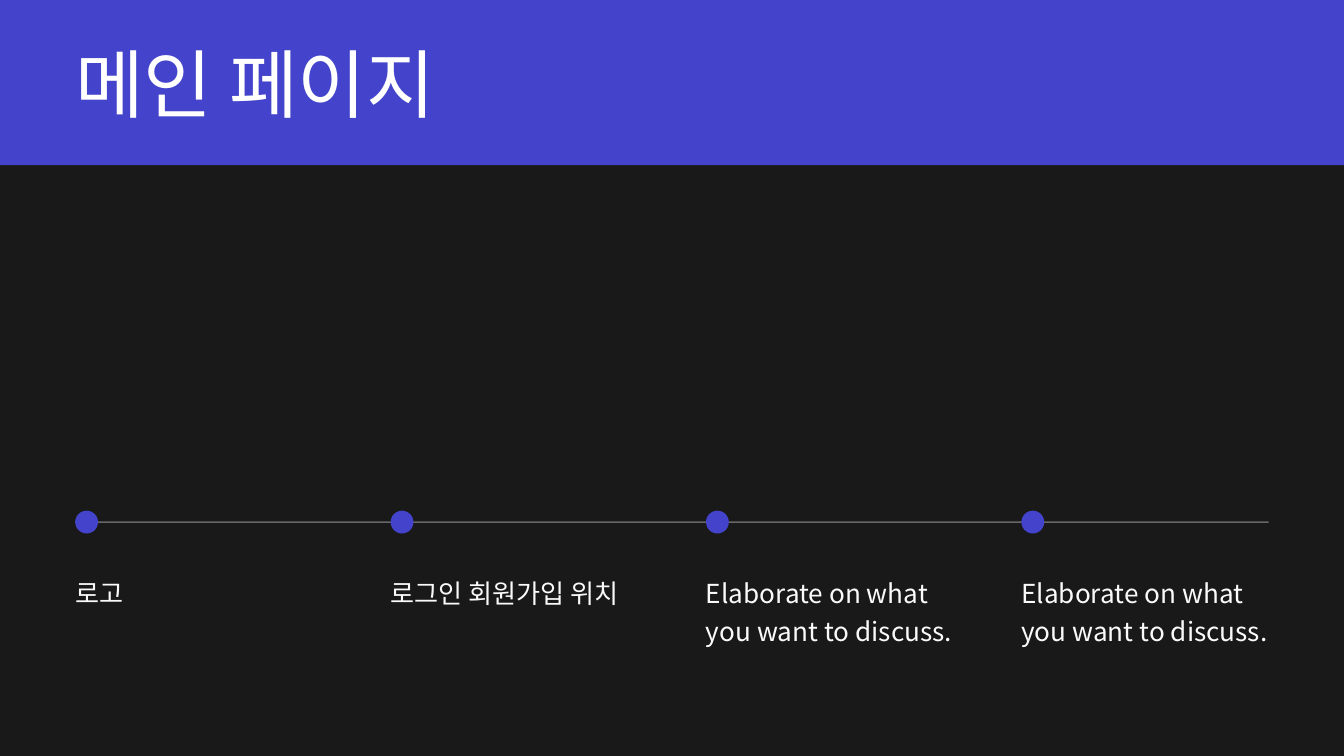
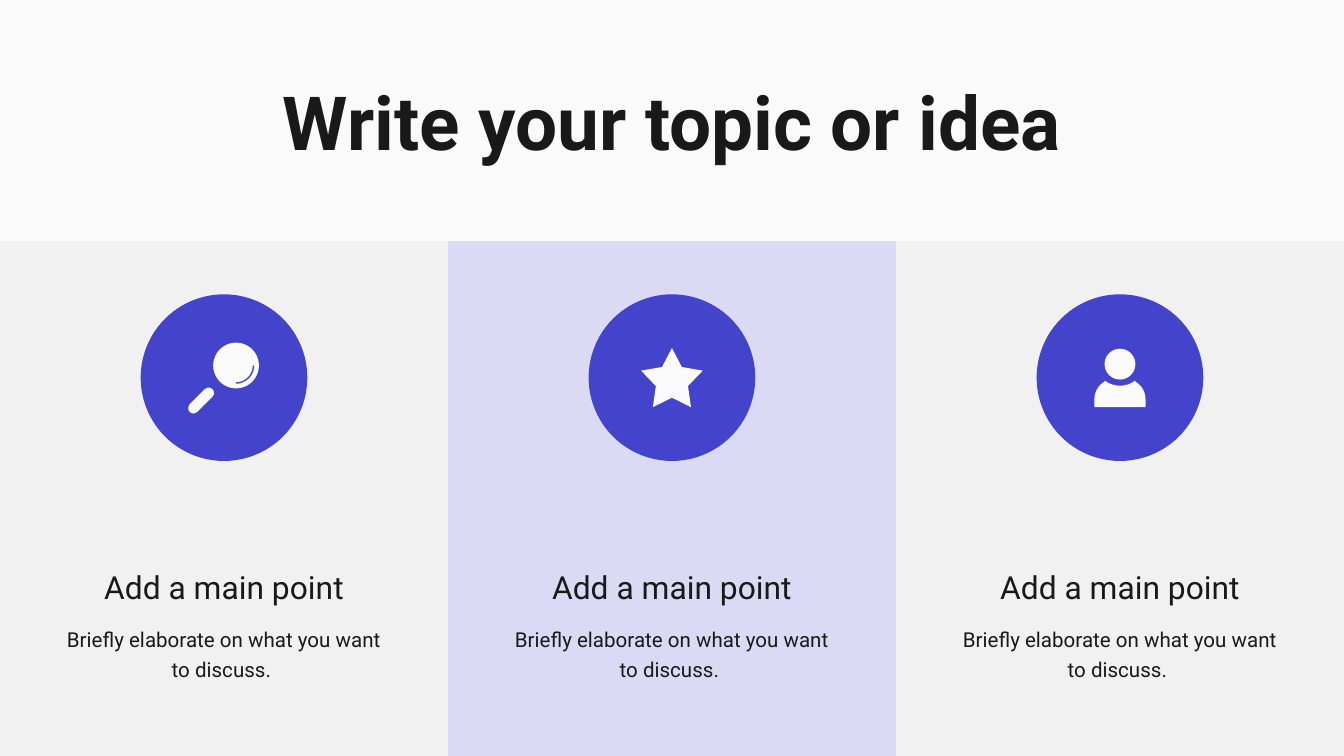
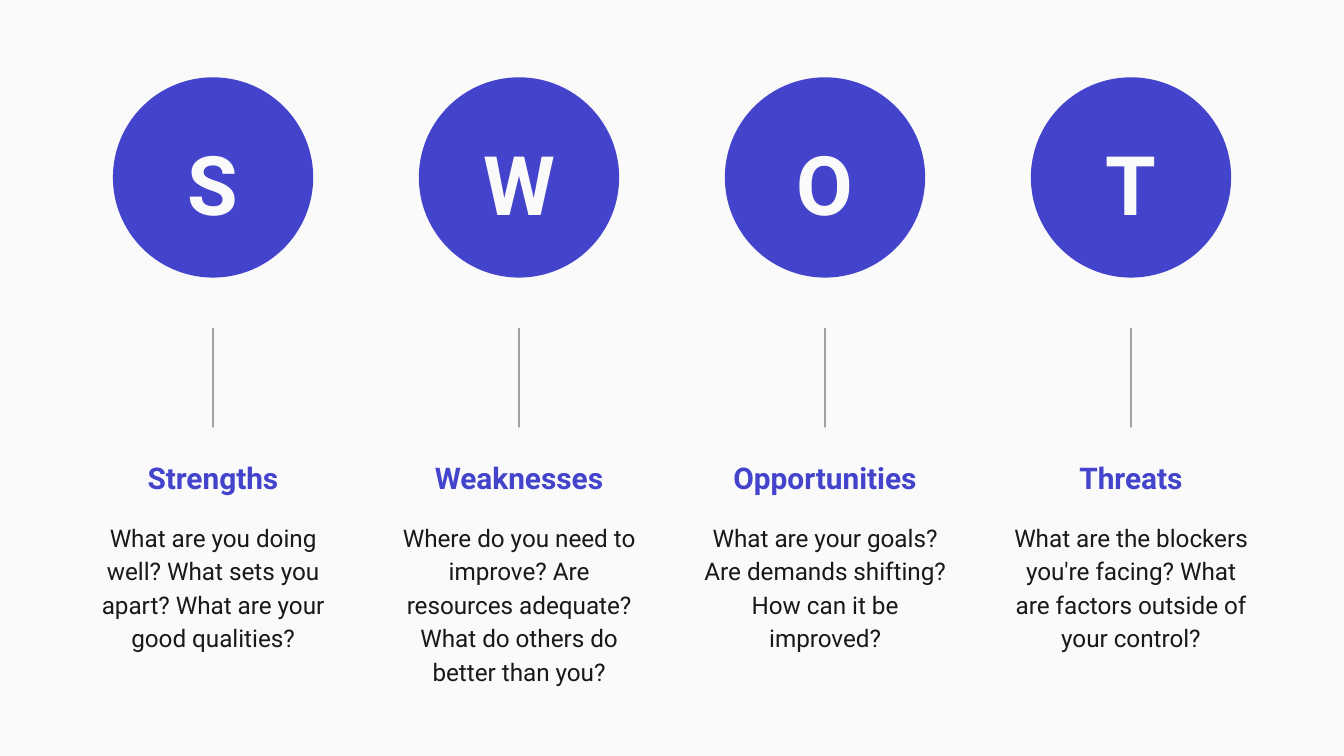
from math import cos, radians, sin

from lxml import etree
from pptx import Presentation
from pptx.dml.color import RGBColor
from pptx.enum.shapes import MSO_CONNECTOR, MSO_SHAPE
from pptx.enum.text import MSO_ANCHOR, MSO_AUTO_SIZE, PP_ALIGN
from pptx.oxml.ns import qn
from pptx.util import Inches, Pt

LEFT, CENTER = PP_ALIGN.LEFT, PP_ALIGN.CENTER
TOP, MIDDLE = MSO_ANCHOR.TOP, MSO_ANCHOR.MIDDLE
OVAL, RECT = MSO_SHAPE.OVAL, MSO_SHAPE.RECTANGLE
ROUNDED, STAR = MSO_SHAPE.ROUNDED_RECTANGLE, MSO_SHAPE.STAR_5_POINT
TITLE_ONLY, BLANK = 5, 6

COLORS = {
    "ink": "191919",
    "paper": "FAFAFA",
    "white": "FFFFFF",
    "accent": "4344CB",
    "panel": "F1F1F1",
    "tint": "DADAF5",
}
KOREAN, LATIN = "Noto Sans CJK KR", "Roboto"

STYLES = {
    "page title": dict(size=40, name=KOREAN, color="white", anchor=MIDDLE),
    "topic title": dict(size=40, name=LATIN, color="ink", bold=True, align=CENTER, anchor=MIDDLE),
    "step": dict(size=14, name=KOREAN, color="paper", spacing=1.2),
    "point": dict(size=17, name=LATIN, color="ink", align=CENTER, spacing=1.2),
    "detail": dict(size=11, name=LATIN, color="ink", align=CENTER, spacing=1.2),
    "letter": dict(size=44, name=LATIN, color="paper", bold=True, align=CENTER, anchor=MIDDLE),
    "heading": dict(size=16, name=LATIN, color="accent", bold=True, align=CENTER, spacing=1.15),
    "question": dict(size=13, name=LATIN, color="ink", align=CENTER, spacing=1.15),
}

PAGE_TITLE = "메인 페이지"
STEPS = [
    "로고",
    "로그인 회원가입 위치",
    "Elaborate on what you want to discuss.",
    "Elaborate on what you want to discuss.",
]

TOPIC_TITLE = "Write your topic or idea"
POINTS = [("Add a main point", "Briefly elaborate on what you want to discuss. ")] * 3

SWOT = [
    ("Strengths", "What are you doing well? What sets you apart? What are your good qualities?"),
    ("Weaknesses", "Where do you need to improve? Are resources adequate? "
                   "What do others do better than you?"),
    ("Opportunities", "What are your goals? Are demands shifting? How can it be improved?"),
    ("Threats", "What are the blockers you're facing? What are factors outside of your control?"),
]

WIDTH = 10
HEIGHT = WIDTH * 9 / 16


def rgb(name):
    return RGBColor.from_string(COLORS[name])


def add_slide(prs, layout, background):
    s = prs.slides.add_slide(prs.slide_layouts[layout])
    s.background.fill.solid()
    s.background.fill.fore_color.rgb = rgb(background)
    return s


def write(sp, text, style):
    look = STYLES[style]
    tf = sp.text_frame
    tf.word_wrap = True
    tf.auto_size = MSO_AUTO_SIZE.SHAPE_TO_FIT_TEXT
    tf.vertical_anchor = look.get("anchor", TOP)
    for side in ("left", "top", "right", "bottom"):
        setattr(tf, f"margin_{side}", 0)
    p = tf.paragraphs[0]
    p.alignment = look.get("align", LEFT)
    p.line_spacing = look.get("spacing", 1.0)
    r = p.add_run()
    r.text = text
    font = {"size": Pt(look["size"]), "name": look["name"], "bold": look.get("bold", False)}
    for key, value in font.items():
        setattr(r.font, key, value)
    r.font.color.rgb = rgb(look["color"])
    for tag in ("a:ea", "a:cs"):
        etree.SubElement(r.font._element, qn(tag), typeface=look["name"])


def add_text(s, text, style, x, y, w, h):
    write(s.shapes.add_textbox(*map(Inches, (x, y, w, h))), text, style)


def set_title(s, text, style, x, y, w, h):
    sp = s.shapes.title
    sp.left, sp.top, sp.width, sp.height = map(Inches, (x, y, w, h))
    write(sp, text, style)


def paint(sp, color):
    sp.fill.solid()
    sp.fill.fore_color.rgb = rgb(color)
    sp.line.fill.background()
    sp.shadow.inherit = False


def add_block(s, kind, color, x, y, w, h):
    sp = s.shapes.add_shape(kind, *map(Inches, (x, y, w, h)))
    paint(sp, color)
    return sp


def add_disc(s, color, cx, cy, diameter):
    add_block(s, OVAL, color, cx - diameter / 2, cy - diameter / 2, diameter, diameter)


def add_rule(s, color, opacity, x1, y1, x2, y2):
    line = s.shapes.add_connector(MSO_CONNECTOR.STRAIGHT, *map(Inches, (x1, y1, x2, y2)))
    line.line.width = Pt(0.75)
    line.line.color.rgb = rgb(color)
    fill = line._element.spPr.find(".//" + qn("a:srgbClr"))
    etree.SubElement(fill, qn("a:alpha"), val=str(opacity * 1000))
    etree.SubElement(line._element.spPr, qn("a:effectLst"))


def arc(cx, cy, radius, start, end, steps=12):
    """Points along a circle, with angles in degrees clockwise from the right."""
    angles = [radians(start + (end - start) * i / steps) for i in range(steps + 1)]
    return [(cx + radius * cos(a), cy + radius * sin(a)) for a in angles]


def add_outline(s, points, close=True):
    start, *rest = [(Inches(x), Inches(y)) for x, y in points]
    builder = s.shapes.build_freeform(*start)
    builder.add_line_segments(rest, close=close)
    return builder.convert_to_shape()


def draw_magnifier(s, cx):
    lens_x, lens_y = cx + 0.09, 2.72
    add_disc(s, "paper", lens_x, lens_y, 0.34)
    handle = add_block(s, ROUNDED, "paper", cx - 0.29, 2.94, 0.24, 0.08)
    handle.adjustments[0] = 0.5
    handle.rotation = -45
    gleam = add_outline(s, arc(lens_x, lens_y, 0.13, 0, 90), close=False)
    gleam.fill.background()
    gleam.line.color.rgb = rgb("accent")
    gleam.line.width = Pt(0.75)
    gleam.shadow.inherit = False


def draw_star(s, cx):
    add_block(s, STAR, "paper", cx - 0.23, 2.59, 0.46, 0.44).adjustments[0] = 0.26


def draw_person(s, cx):
    add_disc(s, "paper", cx, 2.71, 0.23)
    body = [
        (cx - 0.19, 3.03),
        *arc(cx - 0.04, 2.97, 0.15, 180, 240),
        *arc(cx, 2.68, 0.19, 127, 53),
        *arc(cx + 0.04, 2.97, 0.15, 300, 360),
        (cx + 0.19, 3.03),
    ]
    paint(add_outline(s, body), "paper")


def build_main_page(prs):
    s = add_slide(prs, TITLE_ONLY, "ink")
    margin, dot, step_w, line_y = 0.56, 0.17, 1.84, 3.885
    pitch = (WIDTH - 2 * margin - step_w) / (len(STEPS) - 1)
    add_rule(s, "paper", 35, margin, line_y, WIDTH - margin, line_y)
    for i, step in enumerate(STEPS):
        x = margin + i * pitch
        add_disc(s, "accent", x + dot / 2, line_y, dot)
        add_text(s, step, "step", x, 4.25, step_w, 0.28)
    band = add_block(s, RECT, "accent", 0, 0, WIDTH, 1.23)
    s.shapes.title._element.addprevious(band._element)
    set_title(s, PAGE_TITLE, "page title", margin, 0.28, WIDTH - 2 * margin, 0.67)


def build_topic(prs):
    s = add_slide(prs, TITLE_ONLY, "paper")
    column, panel_h, text_w = WIDTH / len(POINTS), 3.83, 2.51
    top = HEIGHT - panel_h
    set_title(s, TOPIC_TITLE, "topic title", 1.39, 0.56, 7.22, 0.67)
    add_block(s, RECT, "panel", 0, top, WIDTH, panel_h)
    add_block(s, RECT, "tint", column, top, column, panel_h)
    icons = [draw_magnifier, draw_star, draw_person]
    for i, ((point, detail), draw_icon) in enumerate(zip(POINTS, icons)):
        cx = (i + 0.5) * column
        add_disc(s, "accent", cx, 2.81, 1.24)
        draw_icon(s, cx)
        add_text(s, point, "point", cx - text_w / 2, 4.17, text_w, 0.29)
        add_text(s, detail, "detail", cx - text_w / 2, 4.63, text_w, 0.41)


def build_swot(prs):
    s = add_slide(prs, BLANK, "paper")
    margin, text_w, letter_w = 0.68, 1.81, 1.11
    pitch = (WIDTH - 2 * margin - text_w) / (len(SWOT) - 1)
    for i, (heading, question) in enumerate(SWOT):
        x = margin + i * pitch
        cx = x + text_w / 2
        add_disc(s, "accent", cx, 1.32, 1.49)
        add_text(s, heading[0], "letter", cx - letter_w / 2, 0.99, letter_w, 0.74)
        add_rule(s, "ink", 60, cx, 3.18, cx, 2.44)
        add_text(s, heading, "heading", x, 3.38, text_w, 0.27)
        add_text(s, question, "question", x, 3.86, text_w, 0.97)


def main():
    prs = Presentation()
    prs.slide_width, prs.slide_height = Inches(WIDTH), Inches(HEIGHT)
    build_main_page(prs)
    build_topic(prs)
    build_swot(prs)
    prs.save("out.pptx")


if __name__ == "__main__":
    main()
